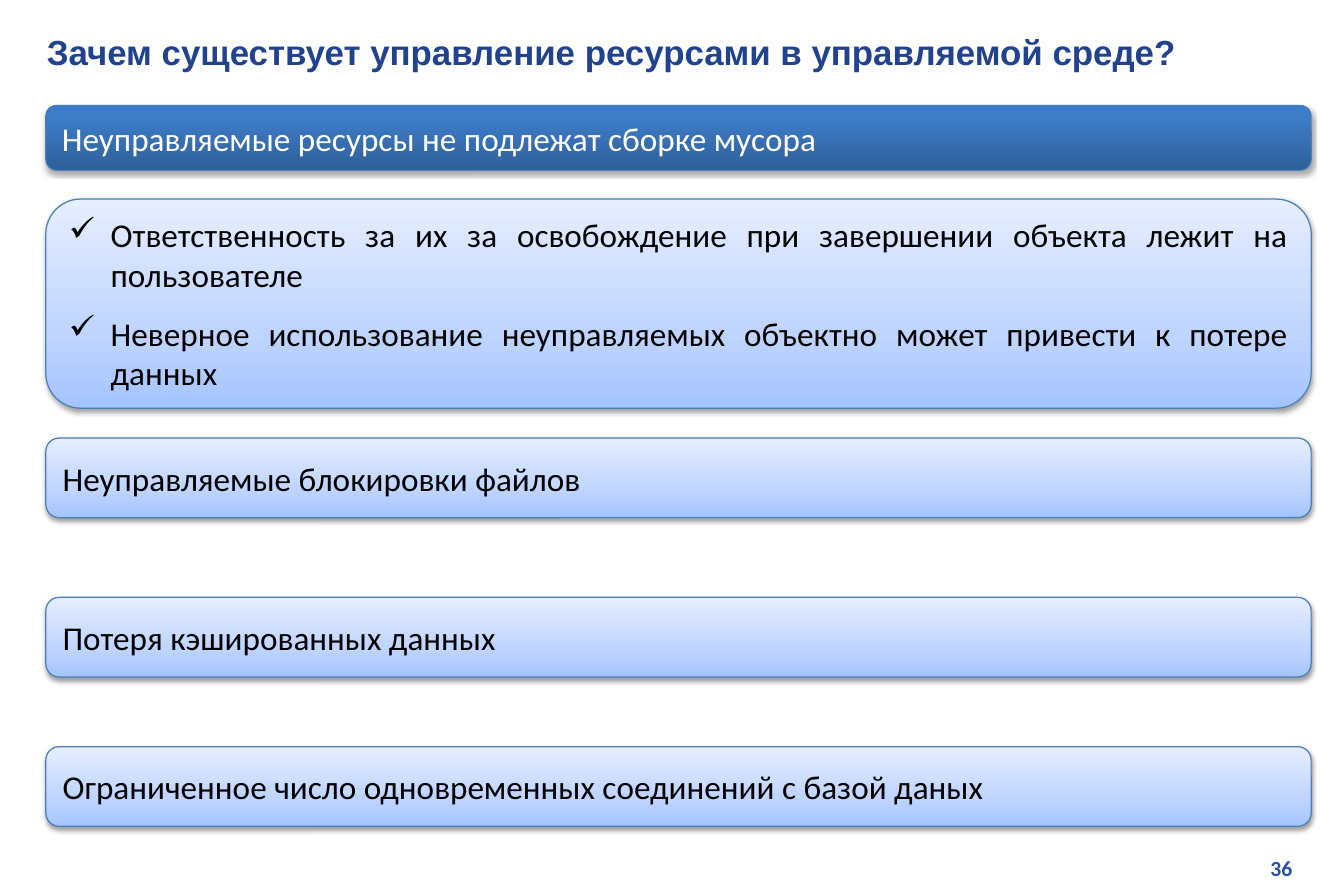
from copy import deepcopy

from pptx import Presentation
from pptx.dml.color import RGBColor
from pptx.enum.shapes import MSO_SHAPE as Shape
from pptx.enum.text import MSO_ANCHOR as Anchor, PP_ALIGN as Align
from pptx.oxml import parse_xml
from pptx.oxml.ns import nsdecls, qn
from pptx.util import Pt

PX = 7620
LEFT, WIDTH = 46, 1271
INDENT = 42
PALE = [(0, "A4C4FF"), (0.35, "BFD4FF"), (1, "E6EEFF")]
DEEP = [(0, "2F5F99"), (0.8, "3D7CC7"), (1, "3A7CCB")]

HEADING = "Зачем существует управление ресурсами в управляемой среде?"
THESIS = "Неуправляемые ресурсы не подлежат сборке мусора"
REASONS = [
    "Ответственность за их за освобождение при завершении объекта лежит на пользователе",
    "Неверное использование неуправляемых объектно может привести к потере данных",
]
PROBLEMS = [
    (440, "Неуправляемые блокировки файлов"),
    (600, "Потеря кэшированных данных"),
    (750, "Ограниченное число одновременных соединений с базой даных"),
]


def px(*lengths):
    return [length * PX for length in lengths]


def color(value):
    return RGBColor.from_string(value)


def write(frame, lines, size, font, ink, align, bold=False):
    frame.word_wrap = True
    frame.margin_left, frame.margin_top, frame.margin_right, frame.margin_bottom = px(13, 7, 13, 7)
    frame.text = "\n".join(lines)
    for paragraph in frame.paragraphs:
        paragraph.alignment = align
        for run in paragraph.runs:
            run.font.size = Pt(size)
            run.font.name = font
            run.font.bold = bold
            run.font.color.rgb = color(ink)


def add_label(slide, box, line, size, font, ink, align):
    label = slide.shapes.add_textbox(*px(*box))
    write(label.text_frame, [line], size, font, ink, align, bold=True)


def paint_gradient(panel, stops):
    panel.fill.gradient()
    panel.fill.gradient_angle = 90
    stop_list = panel._element.spPr.find(".//" + qn("a:gsLst"))
    stop_list.append(deepcopy(stop_list[0]))
    for stop, (position, value) in zip(panel.fill.gradient_stops, stops):
        stop.position = position
        stop.color.rgb = color(value)


def cast_shadow(panel, distance, opacity):
    panel.shadow.inherit = False
    panel._element.spPr.find(qn("a:effectLst")).append(parse_xml(
        f'<a:outerShdw {nsdecls("a")} blurRad="{Pt(3.1)}" dist="{Pt(distance)}" '
        f'dir="5400000" rotWithShape="0"><a:srgbClr val="000000">'
        f'<a:alpha val="{opacity * 1000}"/></a:srgbClr></a:outerShdw>'))


def add_panel(slide, top, height, lines, stops=PALE, ink="000000", distance=1.6, opacity=38):
    panel = slide.shapes.add_shape(Shape.ROUNDED_RECTANGLE, *px(LEFT, top, WIDTH, height))
    paint_gradient(panel, stops)
    panel.line.color.rgb = color("4B7EBC")
    panel.line.width = Pt(0.75)
    cast_shadow(panel, distance, opacity)
    frame = panel.text_frame
    frame.vertical_anchor = Anchor.MIDDLE
    write(frame, lines, 20, "Calibri", ink, Align.JUSTIFY)
    for paragraph in frame.paragraphs:
        paragraph.space_after = Pt(11.1)
    return panel


def add_checks(panel):
    for paragraph in panel.text_frame.paragraphs:
        properties = paragraph._p.get_or_add_pPr()
        properties.set("marL", str(INDENT * PX))
        properties.set("indent", str(-INDENT * PX))
        properties.append(parse_xml(f'<a:buChar {nsdecls("a")} char="✓"/>'))


def main():
    deck = Presentation()
    deck.slide_width, deck.slide_height = px(1350, 900)
    slide = deck.slides.add_slide(deck.slide_layouts[6])

    add_label(slide, (34, 24, 1289, 48), HEADING, 21, "Arial", "21438F", Align.LEFT)
    reasons = add_panel(slide, 200, 210, REASONS)
    add_checks(reasons)
    add_panel(slide, 106, 65, [THESIS], DEEP, "FFFFFF", 1.8, 35)
    for top, problem in PROBLEMS:
        add_panel(slide, top, 80, [problem])
    add_label(slide, (1025, 852, 286, 41), "36", 13, "Calibri", "2750AB", Align.RIGHT)

    deck.save("out.pptx")


if __name__ == "__main__":
    main()
